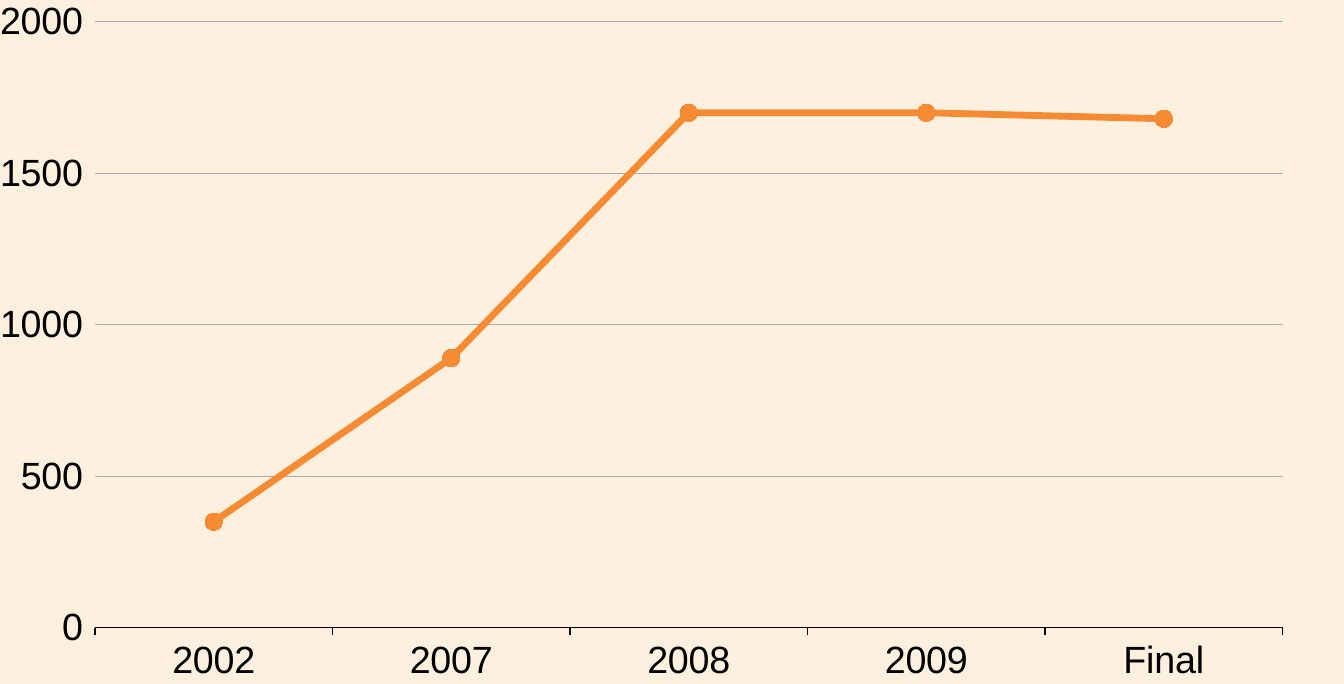
from lxml import etree
from pptx import Presentation
from pptx.chart.data import CategoryChartData as Data
from pptx.dml.color import RGBColor as Rgb
from pptx.enum.chart import XL_CHART_TYPE as Kind
from pptx.enum.chart import XL_MARKER_STYLE as Mark
from pptx.enum.chart import XL_TICK_MARK as Tick
from pptx.oxml.ns import qn
from pptx.util import Cm, Pt

WIDE, HIGH = 27.51, 14.0
CREAM, ORANGE, GREY, BLACK = "FEF0DE", "F68B33", "A4ABB1", "000000"
YEARS = ["2002", "2007", "2008", "2009", "Final"]
VALUES = [350, 890, 1700, 1700, 1680]
PLOT = {"x": 0.064, "y": 0.032, "w": 0.89, "h": 0.886}


def paint(fill, tone):
    fill.solid()
    fill.fore_color.rgb = Rgb.from_string(tone)


def stroke(line, tone, width):
    paint(line.fill, tone)
    line.width = Pt(width)


def style(font, size):
    font.name = "Arial"
    font.size = Pt(size)
    font.color.rgb = Rgb.from_string(BLACK)


def place_plot(chart):
    """Fix the inner plot area as fractions of the chart."""
    area = chart._chartSpace.chart.plotArea
    for old in area.findall(qn("c:layout")):
        area.remove(old)
    layout = etree.Element(qn("c:layout"))
    area.insert(0, layout)
    manual = etree.SubElement(layout, qn("c:manualLayout"))
    rules = {"layoutTarget": "inner", "xMode": "edge", "yMode": "edge", **PLOT}
    for name, val in rules.items():
        etree.SubElement(manual, qn("c:" + name)).set("val", str(val))


def line_chart(slide, left, top, width, height):
    data = Data()
    data.categories = YEARS
    data.add_series("Series 1", VALUES)
    box = [Cm(n) for n in (left, top, width, height)]
    chart = slide.shapes.add_chart(Kind.LINE_MARKERS, *box, data).chart
    chart.has_legend = chart.has_title = False
    style(chart.font, 18)
    place_plot(chart)

    # Axes
    years, scale = chart.category_axis, chart.value_axis
    for axis in (years, scale):
        axis.major_tick_mark = Tick.OUTSIDE
        axis.minor_tick_mark = Tick.NONE
        style(axis.tick_labels.font, 22)
    stroke(years.format.line, BLACK, 0.75)
    scale.format.line.fill.background()
    scale.minimum_scale, scale.maximum_scale = 0, 2000
    scale.major_unit = 500
    scale.has_major_gridlines = True
    stroke(scale.major_gridlines.format.line, GREY, 0.75)

    # Line and markers
    plot = chart.plots[0]
    plot.vary_by_categories = False
    series = plot.series[0]
    series.smooth = False
    stroke(series.format.line, ORANGE, 4)
    series.marker.style = Mark.CIRCLE
    series.marker.size = 10
    paint(series.marker.format.fill, ORANGE)
    stroke(series.marker.format.line, ORANGE, 0.75)


deck = Presentation()
deck.slide_width, deck.slide_height = Cm(WIDE), Cm(HIGH)
slide = deck.slides.add_slide(deck.slide_layouts[6])
paint(slide.background.fill, CREAM)
line_chart(slide, 0, 0, WIDE, HIGH)
deck.save("out.pptx")
